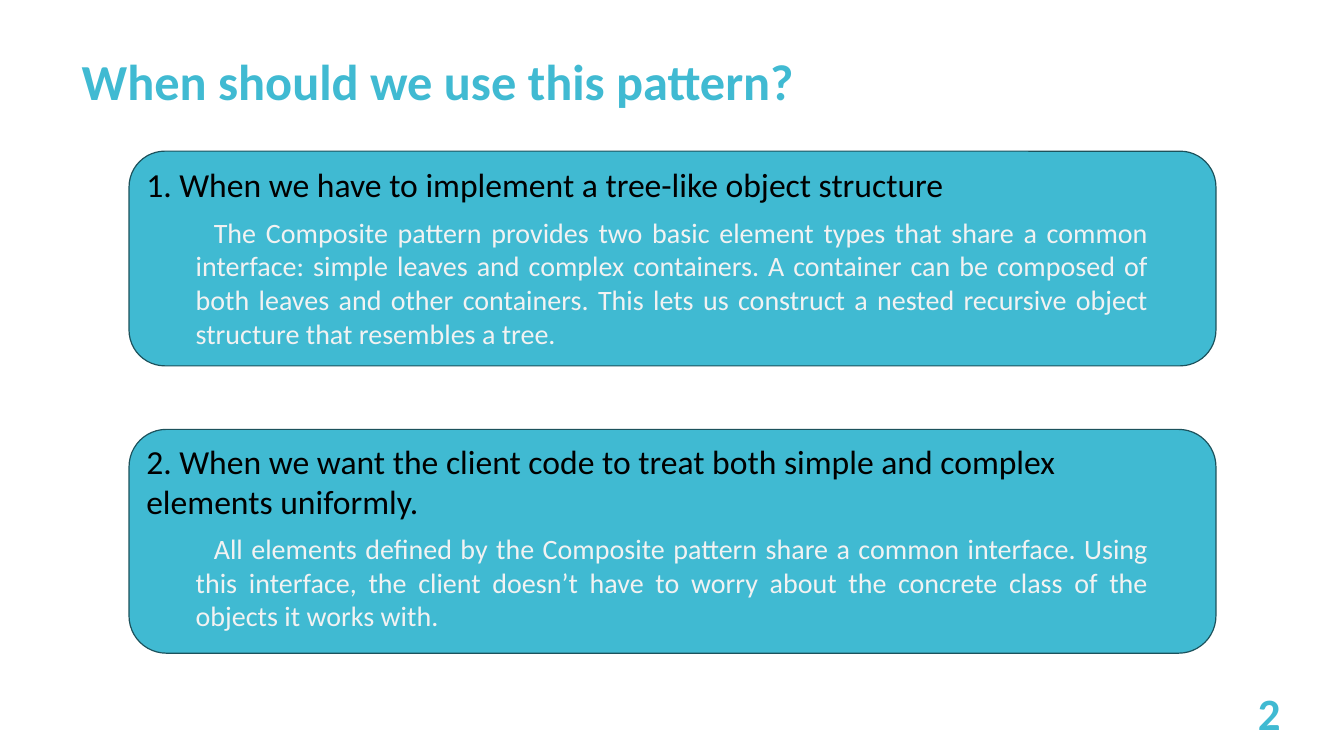
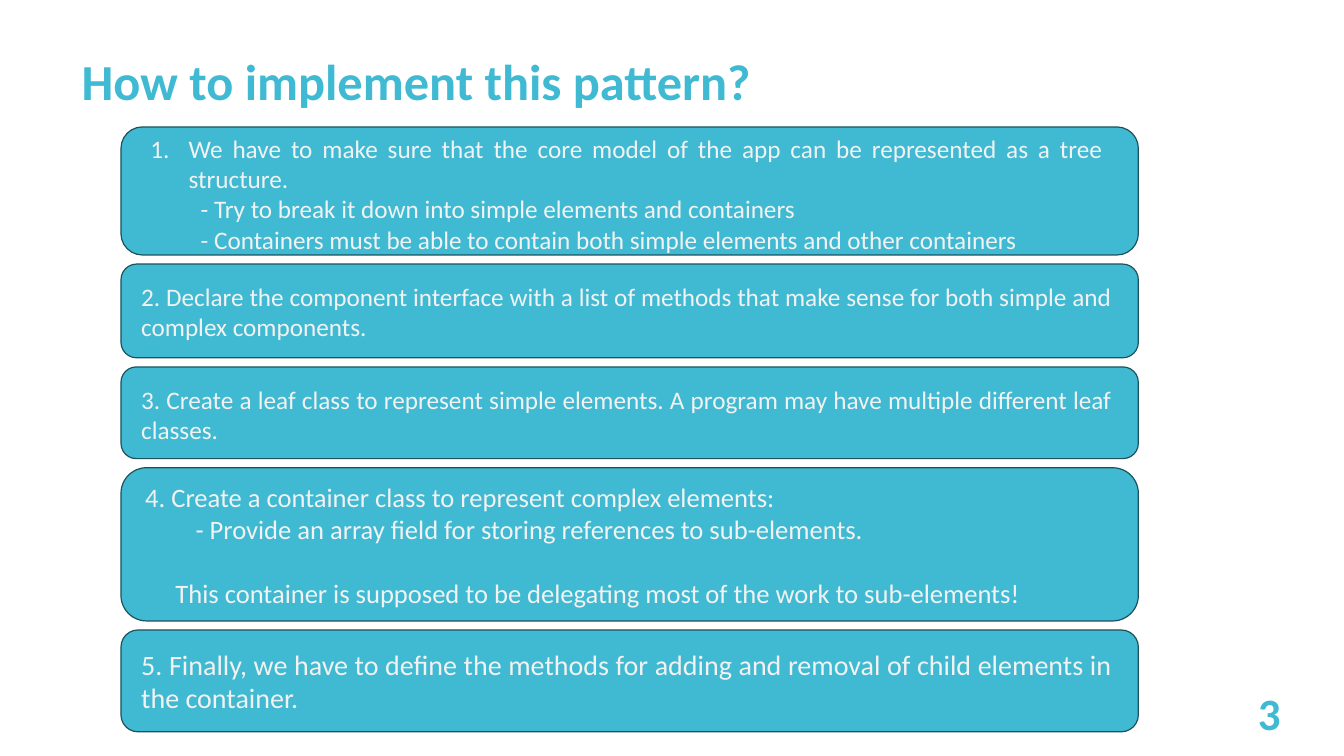
from dataclasses import dataclass

from lxml import etree
from pptx import Presentation
from pptx.dml.color import RGBColor
from pptx.enum.shapes import MSO_SHAPE
from pptx.enum.text import MSO_ANCHOR, MSO_AUTO_SIZE, PP_ALIGN
from pptx.oxml.ns import qn
from pptx.util import Inches, Pt

ROUNDED = MSO_SHAPE.ROUNDED_RECTANGLE
TOP, MIDDLE = MSO_ANCHOR.TOP, MSO_ANCHOR.MIDDLE
LEFT, RIGHT, JUSTIFY = PP_ALIGN.LEFT, PP_ALIGN.RIGHT, PP_ALIGN.JUSTIFY
NO_AUTOFIT = MSO_AUTO_SIZE.NONE
TITLE_ONLY = 5


@dataclass(frozen=True)
class Theme:
    font: str = "Calibri"
    accent: RGBColor = RGBColor(0x40, 0xBA, 0xD2)
    outline: RGBColor = RGBColor(0x1C, 0x52, 0x5C)
    heading: RGBColor = RGBColor(0, 0, 0)
    body: RGBColor = RGBColor(0xF2, 0xF2, 0xF2)
    title_size: int = 36
    number_size: int = 32
    heading_size: int = 24
    body_size: int = 20
    outline_width: float = 0.85
    corner: float = 0.16667


THEME = Theme()

HEADING = dict(color=THEME.heading, size=THEME.heading_size)
EXPLANATION = dict(align=JUSTIFY, size=THEME.body_size, left=0.49, first=0.18, before=7.5)
STEP = dict(align=JUSTIFY, size=18)
NUMBERED = dict(STEP, left=0.38, first=-0.38, numbered=True)
SUBSTEP = dict(STEP, left=0.5)
CONTAINER = dict(align=JUSTIFY, size=19)
CONTAINER_DETAIL = dict(CONTAINER, left=0.5)
CONTAINER_NOTE = dict(CONTAINER, left=0.3, before=23)
FINAL_STEP = dict(align=JUSTIFY, size=20)

SLIDES = [
    dict(
        title="When should we use this pattern?",
        number=2, left=1.28, top=1.5, width=10.78, gap=0.63,
        cards=[
            dict(height=2.13, inset=(0.17, 0.13, 0.67), lines=[
                ("1. When we have to implement a tree-like object structure", HEADING),
                ("The Composite pattern provides two basic element types that share a common "
                 "interface: simple leaves and complex containers. A container can be composed "
                 "of both leaves and other containers. This lets us construct a nested "
                 "recursive object structure that resembles a tree.", EXPLANATION),
            ]),
            dict(height=2.22, inset=(0.17, 0.11, 0.67), lines=[
                ("2. When we want the client code to treat both simple and complex elements "
                 "uniformly.", HEADING),
                ("All elements defined by the Composite pattern share a common interface. "
                 "Using this interface, the client doesn’t have to worry about the concrete "
                 "class of the objects it works with.", EXPLANATION),
            ]),
        ],
    ),
    dict(
        title="How to implement this pattern?",
        number=3, left=1.2, top=1.26, width=10.09, gap=0.09,
        cards=[
            dict(height=1.27, inset=(0.29, 0.06, 0.35), lines=[
                ("We have to make sure that the core model of the app can be represented as a "
                 "tree structure.", NUMBERED),
                ("- Try to break it down into simple elements and containers", SUBSTEP),
                ("- Containers must be able to contain both simple elements and other "
                 "containers", SUBSTEP),
            ]),
            dict(height=0.93, inset=(0.2, 0.17, 0.26), lines=[
                ("2. Declare the component interface with a list of methods that make sense "
                 "for both simple and complex components.", STEP),
            ]),
            dict(height=0.91, inset=(0.2, 0.17, 0.26), lines=[
                ("3. Create a leaf class to represent simple elements. A program may have "
                 "multiple different leaf classes.", STEP),
            ]),
            dict(height=1.52, inset=(0.24, 0.13, 0.34), lines=[
                ("4. Create a container class to represent complex elements:", CONTAINER),
                ("- Provide an array field for storing references to sub-elements.",
                 CONTAINER_DETAIL),
                ("This container is supposed to be delegating most of the work to "
                 "sub-elements!", CONTAINER_NOTE),
            ]),
            dict(height=1.01, inset=(0.2, 0.17, 0.26), lines=[
                ("5. Finally, we have to define the methods for adding and removal of child "
                 "elements in the container.", FINAL_STEP),
            ]),
        ],
    ),
]


def write_line(paragraph, text, size, color=THEME.body, align=LEFT, bold=False,
               left=0, first=0, before=0, numbered=False):
    paragraph.text = text
    paragraph.alignment = align
    properties = paragraph._p.get_or_add_pPr()
    properties.set("marL", str(Inches(left)))
    properties.set("indent", str(Inches(first)))
    if numbered:
        bullet = etree.SubElement(properties, qn("a:buFont"))
        bullet.set("typeface", "+mj-lt")
        etree.SubElement(properties, qn("a:buAutoNum")).set("type", "arabicPeriod")
    if before:
        paragraph.space_before = Pt(before)
    font = paragraph.font
    font.name = THEME.font
    font.size = Pt(size)
    font.bold = bold
    font.color.rgb = color


def place_title(layout):
    title = next(iter(layout.placeholders))
    title.left, title.top = Inches(0.71), Inches(0.45)
    title.width, title.height = Inches(11.5), Inches(0.71)


def add_title(slide, text):
    frame = slide.shapes.title.text_frame
    frame.auto_size = NO_AUTOFIT
    frame.vertical_anchor = TOP
    write_line(frame.paragraphs[0], text, THEME.title_size, THEME.accent, bold=True)


def add_number(slide, number):
    box = slide.shapes.add_textbox(Inches(11.13), Inches(6.87), Inches(1.67), Inches(0.4))
    frame = box.text_frame
    frame.word_wrap = True
    frame.vertical_anchor = MIDDLE
    write_line(frame.paragraphs[0], str(number), THEME.number_size, THEME.accent,
               align=RIGHT, bold=True)


def add_card(slide, left, top, width, height, inset, lines):
    card = slide.shapes.add_shape(ROUNDED, Inches(left), Inches(top),
                                  Inches(width), Inches(height))
    card.shadow.inherit = False
    card.adjustments[0] = THEME.corner
    card.fill.solid()
    card.fill.fore_color.rgb = THEME.accent
    card.line.color.rgb = THEME.outline
    card.line.width = Pt(THEME.outline_width)

    frame = card.text_frame
    frame.word_wrap = True
    frame.vertical_anchor = TOP
    corner_inset = 0.29 * THEME.corner * height
    frame.margin_left, frame.margin_top, frame.margin_right = (
        Inches(max(0, side - corner_inset)) for side in inset)
    frame.margin_bottom = 0
    for index, (text, style) in enumerate(lines):
        paragraph = frame.add_paragraph() if index else frame.paragraphs[0]
        write_line(paragraph, text, **style)


def main():
    deck = Presentation()
    deck.slide_width, deck.slide_height = Inches(13.33), Inches(7.5)
    layout = deck.slide_layouts[TITLE_ONLY]
    place_title(layout)
    for content in SLIDES:
        slide = deck.slides.add_slide(layout)
        add_title(slide, content["title"])
        top = content["top"]
        for card in content["cards"]:
            add_card(slide, content["left"], top, content["width"], **card)
            top += card["height"] + content["gap"]
        add_number(slide, content["number"])
    deck.save("out.pptx")


if __name__ == "__main__":
    main()
